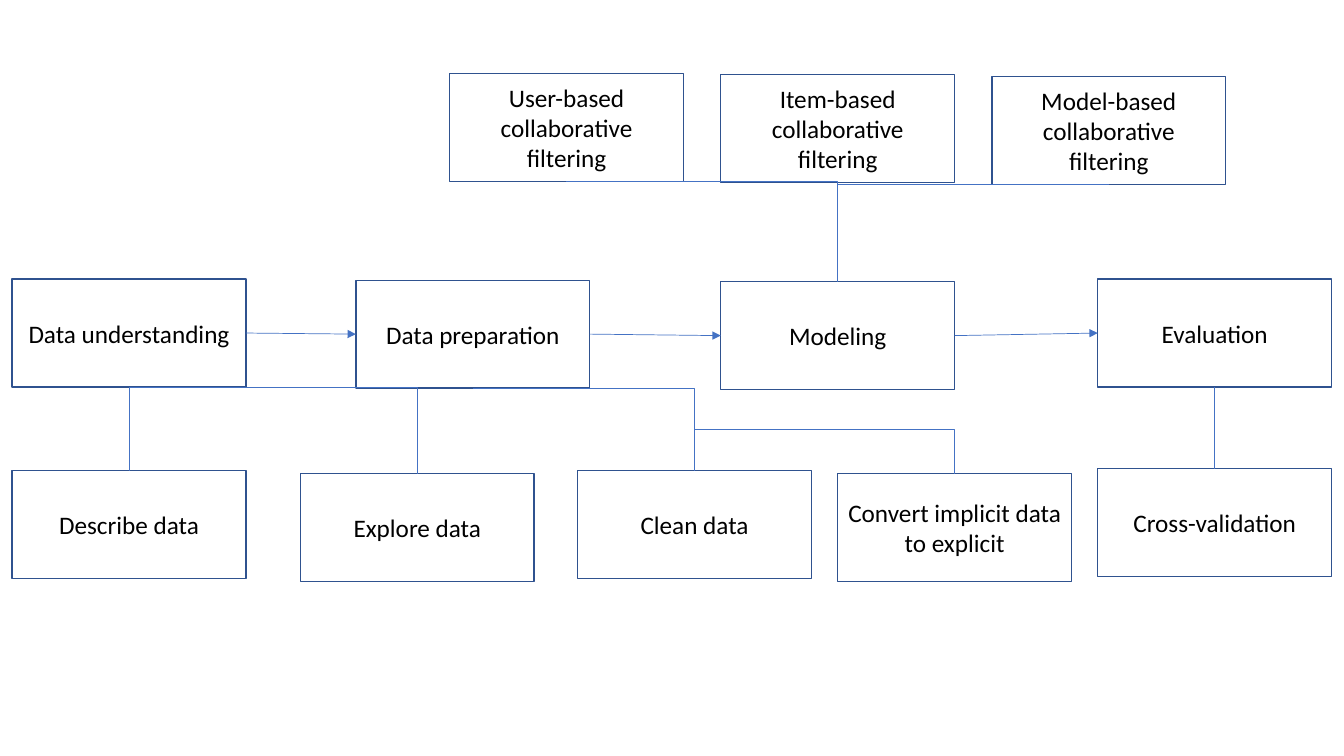
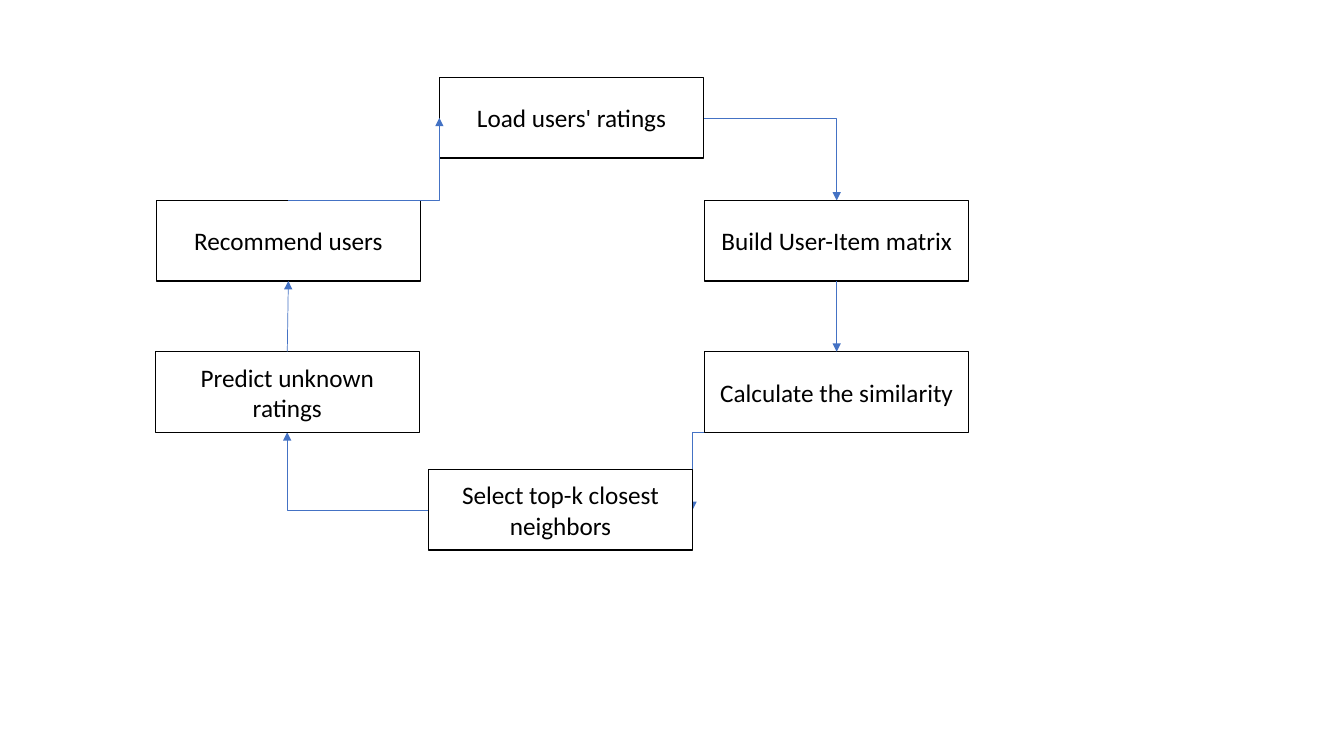
from lxml import etree
from pptx import Presentation
from pptx.dml.color import RGBColor
from pptx.enum.shapes import MSO_CONNECTOR, MSO_SHAPE
from pptx.enum.text import MSO_ANCHOR, PP_ALIGN
from pptx.oxml.ns import qn
from pptx.util import Inches, Pt

RECT = MSO_SHAPE.RECTANGLE
STRAIGHT, ELBOW = MSO_CONNECTOR.STRAIGHT, MSO_CONNECTOR.ELBOW
MIDDLE, CENTER = MSO_ANCHOR.MIDDLE, PP_ALIGN.CENTER
TOP, LEFT, BOTTOM, RIGHT = range(4)

WIDE, HIGH = Inches(13.33), Inches(7.5)
FONT, SIZE = "Calibri", Pt(18)
BLACK, WHITE, NAVY, BLUE = "000000", "FFFFFF", "2F528F", "4472C4"

# Left and top of each box, in percent of the area
PHASES = {
    "User-based collaborative filtering": (33.45, 9.73),
    "Item-based collaborative filtering": (53.63, 9.87),
    "Model-based collaborative filtering": (73.8, 10.13),
    "Data understanding": (0.9, 36.93),
    "Data preparation": (26.48, 37.07),
    "Modeling": (53.63, 37.27),
    "Evaluation": (81.68, 36.93),
    "Describe data": (0.9, 62.27),
    "Explore data": (22.35, 62.67),
    "Clean data": (42.98, 62.27),
    "Convert implicit data to explicit": (62.33, 62.67),
    "Cross-validation": (81.68, 62),
}
STEPS = {
    "Load users' ratings": (32.7, 10.27),
    "Build User-Item matrix": (52.43, 26.53),
    "Calculate the similarity": (52.43, 46.53),
    "Select top-k closest neighbors": (31.88, 62.13),
    "Predict unknown ratings": (11.55, 46.53),
    "Recommend users": (11.63, 26.53),
}


def color(code):
    return RGBColor.from_string(code)


def lay(area, spots, size):
    """Turn percent places into frames inside the area."""
    left, top, wide, high = area
    return {
        name: (int(left + wide * x / 100), int(top + high * y / 100),
               int(wide * size[0] / 100), int(high * size[1] / 100))
        for name, (x, y) in spots.items()
    }


def side(frame, edge):
    """Middle of one side of a frame."""
    x, y, w, h = frame
    return {TOP: (x + w // 2, y), LEFT: (x, y + h // 2),
            BOTTOM: (x + w // 2, y + h), RIGHT: (x + w, y + h // 2)}[edge]


def halfway(start, end):
    return (start[1] + end[1]) // 2


def add_box(slide, frame, text, edge, fill):
    box = slide.shapes.add_shape(RECT, *frame)
    box.shadow.inherit = False
    if fill:
        box.fill.solid()
        box.fill.fore_color.rgb = color(fill)
    else:
        box.fill.background()
    box.line.color.rgb = color(edge)
    box.line.width = Pt(1)
    body = box.text_frame
    body.word_wrap = True
    body.vertical_anchor = MIDDLE
    body.text = text
    para = body.paragraphs[0]
    para.alignment = CENTER
    para.font.name, para.font.size = FONT, SIZE
    para.font.color.rgb = color(BLACK)
    return box


def add_boxes(slide, frames, edge, fill=None):
    return {name: add_box(slide, frame, name, edge, fill)
            for name, frame in frames.items()}


def add_line(slide, kind, start, end, arrow):
    line = slide.shapes.add_connector(kind, *start, *end)
    line.line.color.rgb = color(BLUE)
    line.line.width = Pt(0.5)
    if arrow:
        stroke = line.line._get_or_add_ln()
        etree.SubElement(stroke, qn("a:tailEnd"), type="triangle")
    props = line._element.spPr
    etree.SubElement(props, qn("a:effectLst"))
    return line


def bend(slide, start, end, arrow=False):
    """Run across from start, then up or down to end."""
    line = add_line(slide, ELBOW, start, end, arrow)
    shape = line._element.spPr.find(qn("a:prstGeom"))
    shape.set("prst", "bentConnector2")


def join(slide, boxes, links):
    """Straight lines glued to the sides of boxes."""
    for first, out, last, into, arrow in links:
        line = add_line(slide, STRAIGHT, (0, 0), (0, 0), arrow)
        line.begin_connect(boxes[first], out)
        line.end_connect(boxes[last], into)


def draw_phases(slide, area):
    frames = lay(area, PHASES, (17.4, 14.25))
    boxes = add_boxes(slide, frames, NAVY)
    user, item, model, study, prep, build, test, *tasks = frames
    describe, explore, clean, convert, cross = tasks

    # Main row, then the vertical links
    row = (study, prep, build, test)
    join(slide, boxes, [(a, RIGHT, b, LEFT, True)
                        for a, b in zip(row, row[1:])])
    join(slide, boxes, [(a, BOTTOM, b, TOP, False) for a, b in (
        (study, describe), (item, build), (test, cross))])

    # Branches
    for a, b in ((study, explore), (prep, clean), (user, build)):
        bend(slide, side(frames[a], BOTTOM), side(frames[b], TOP))
    stem = side(frames[clean], TOP)
    fork = (stem[0], halfway(side(frames[prep], BOTTOM), stem))
    bend(slide, fork, side(frames[convert], TOP))
    peak = side(frames[build], TOP)
    meet = (peak[0], halfway(side(frames[item], BOTTOM), peak))
    bend(slide, side(frames[model], BOTTOM), meet)


def draw_cycle(slide, area):
    frames = lay(area, STEPS, (19.65, 10.65))
    load, matrix, score, select, guess, advise = frames

    # Bends that run behind the boxes
    for a, out, b, into in ((load, RIGHT, matrix, TOP),
                            (score, BOTTOM, select, RIGHT),
                            (select, LEFT, guess, BOTTOM)):
        bend(slide, side(frames[a], out), side(frames[b], into), True)

    # Boxes, and the links in front of them
    boxes = add_boxes(slide, frames, BLACK, WHITE)
    join(slide, boxes, [(matrix, BOTTOM, score, TOP, True),
                        (guess, TOP, advise, BOTTOM, True)])
    bend(slide, side(frames[advise], TOP), side(frames[load], LEFT), True)


def main():
    deck = Presentation()
    deck.slide_width, deck.slide_height = WIDE, HIGH
    blank = deck.slide_layouts[6]
    for draw in (draw_phases, draw_cycle):
        draw(deck.slides.add_slide(blank), (0, 0, WIDE, HIGH))
    deck.save("out.pptx")


if __name__ == "__main__":
    main()
